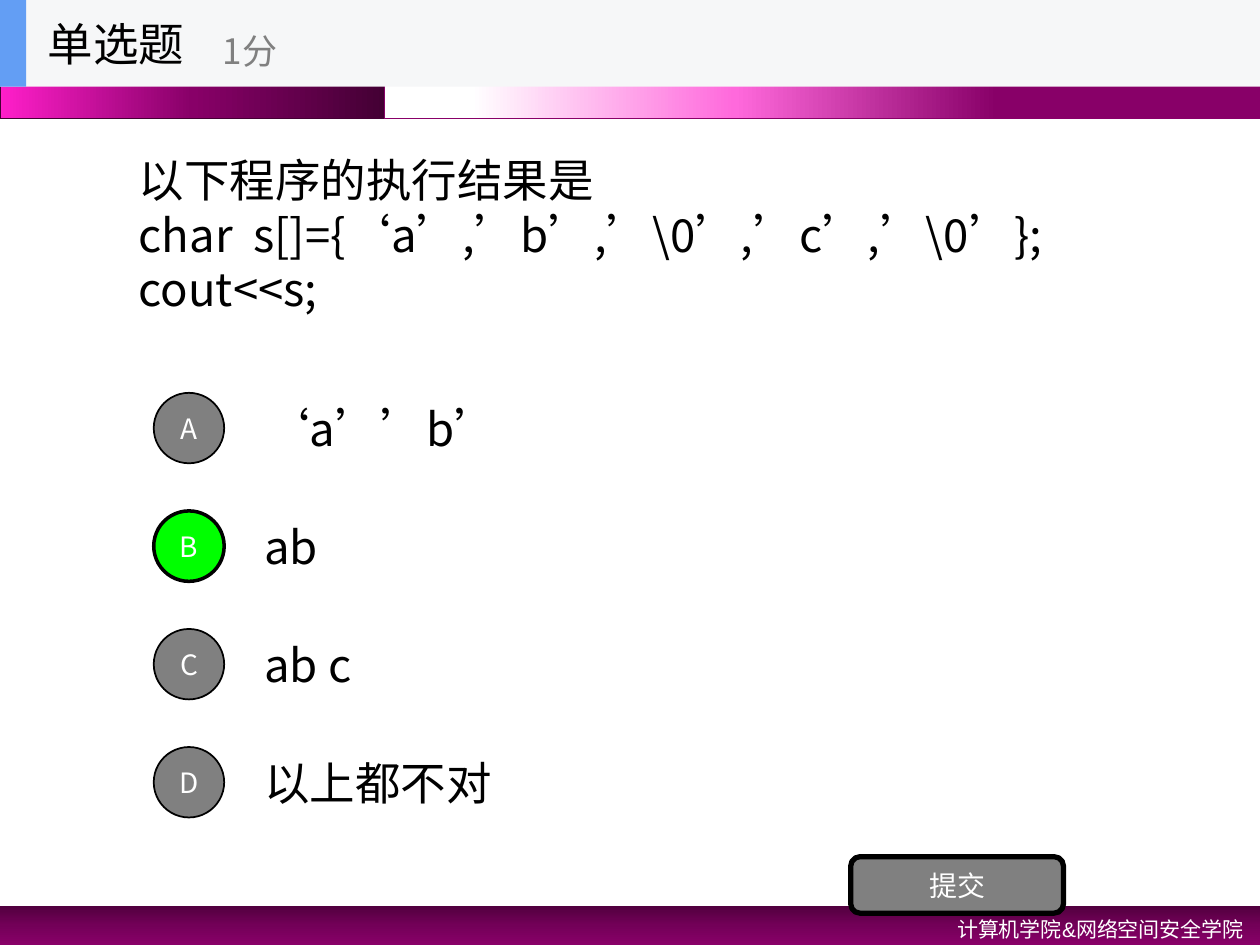
from lxml import etree
from pptx import Presentation
from pptx.dml.color import RGBColor
from pptx.enum.shapes import MSO_SHAPE
from pptx.enum.text import MSO_ANCHOR, MSO_AUTO_SIZE, PP_ALIGN
from pptx.oxml.ns import qn
from pptx.util import Cm, Pt

RECTANGLE, OVAL, ROUNDED = MSO_SHAPE.RECTANGLE, MSO_SHAPE.OVAL, MSO_SHAPE.ROUNDED_RECTANGLE
LEFT, CENTER, RIGHT = PP_ALIGN.LEFT, PP_ALIGN.CENTER, PP_ALIGN.RIGHT
MIDDLE, TOP = MSO_ANCHOR.MIDDLE, MSO_ANCHOR.TOP
NO_AUTOFIT = MSO_AUTO_SIZE.NONE
CJK_FONT = "Noto Sans CJK SC"
COLORS = {
    "black": "000000", "white": "FFFFFF", "gray": "808080", "correct": "00FF00",
    "header": "F6F7F8", "accent": "639EF4", "plum": "880068", "dark plum": "440034",
    "footer top": "51003E", "footer middle": "730058", "magenta": "FF1FCA", "pink": "FF69DC",
}


def write(box, lines, size, color, align=LEFT, anchor=MIDDLE, font=CJK_FONT, spacing=1.0):
    frame = box.text_frame
    frame.text = "\n".join(lines)
    frame.word_wrap = True
    frame.auto_size = NO_AUTOFIT
    frame.vertical_anchor = anchor
    for para in frame.paragraphs:
        para.alignment = align
        para.line_spacing = spacing
        para.space_before = Pt(0)
        para.font.size = Pt(size)
        para.font.name = font
        para.font.color.rgb = RGBColor.from_string(COLORS[color])
        properties = para._p.get_or_add_pPr()
        defaults = properties.find(qn("a:defRPr"))
        etree.SubElement(defaults, qn("a:ea")).set("typeface", CJK_FONT)


def draw(kind, left, top, width, height, fill=None, line=None, weight=1):
    shape = page.shapes.add_shape(kind, Cm(left), Cm(top), Cm(width), Cm(height))
    shape.shadow.inherit = False
    if fill:
        shape.fill.solid()
        shape.fill.fore_color.rgb = RGBColor.from_string(COLORS[fill])
    if line:
        shape.line.color.rgb = RGBColor.from_string(COLORS[line])
        shape.line.width = Pt(weight)
    else:
        shape.line.fill.background()
    return shape


deck = Presentation()
deck.slide_width, deck.slide_height = Cm(25.4), Cm(19.05)
page = deck.slides.add_slide(deck.slide_layouts[1])

bands = [
    (0, 18.26, 25.4, 0.79, None, 90, [(0, "footer top"), (50, "footer middle"), (100, "plum")]),
    (0, 0, 7.75, 2.39, "dark plum", 180, [(0, "dark plum"), (50, "plum"), (100, "magenta")]),
    (7.75, 0, 17.65, 2.39, "plum", 180, [(30, "plum"), (60, "pink"), (90, "white")]),
]
for left, top, width, height, line, angle, stops in bands:
    band = draw(RECTANGLE, left, top, width, height, line=line)
    band.fill.gradient()
    band.fill.gradient_angle = 360 - angle
    stop_list = band.element.spPr.find(qn("a:gradFill")).find(qn("a:gsLst"))
    for stop in list(stop_list):
        stop_list.remove(stop)
    for position, color in stops:
        stop = etree.SubElement(stop_list, qn("a:gs"), pos=str(position * 1000))
        etree.SubElement(stop, qn("a:srgbClr"), val=COLORS[color])

footer = page.shapes.add_textbox(Cm(16.31), Cm(18.26), Cm(9.02), Cm(0.81))
write(footer, ["计算机学院&网络空间安全学院"], 12, "white", RIGHT, TOP, "Arial", 1.2)

question = page.placeholders[1]
question.left, question.top, question.width, question.height = Cm(2.54), Cm(1.75), Cm(20.32), Cm(5.94)
write(question, ["以下程序的执行结果是", "char  s[]={‘a’,’b’,’\\0’,’c’,’\\0’};", "cout<<s;"], 26, "black")
for para in question.text_frame.paragraphs:
    properties = para._p.get_or_add_pPr()
    properties.set("marL", "0")
    properties.set("indent", "0")
    properties.find(qn("a:defRPr")).addprevious(etree.Element(qn("a:buNone")))

options = [("A", "‘a’’b’"), ("B", "ab"), ("C", "ab c"), ("D", "以上都不对")]
for index, (letter, answer) in enumerate(options):
    top = 7.75 + 2.38 * index
    fill, weight = ("correct", 2) if letter == "B" else ("gray", 1)
    label = page.shapes.add_textbox(Cm(5.08), Cm(top), Cm(17.78), Cm(1.78))
    write(label, [answer], 26, "black")
    badge = draw(OVAL, 3.1, top + 0.17, 1.42, 1.42, fill, "black", weight)
    write(badge, [letter], 16, "white", CENTER)

submit = draw(ROUNDED, 17.15, 17.27, 4.29, 1.14, "gray", "black", 3)
write(submit, ["提交"], 16, "white", CENTER)

draw(RECTANGLE, 0, 0, 25.4, 1.75, "header")
draw(RECTANGLE, 0, 0, 0.53, 1.75, "accent")
title = page.shapes.title
title.left, title.top, title.width, title.height = Cm(0.71), Cm(0), Cm(5.28), Cm(1.75)
write(title, ["单选题"], 26, "black")
title.element.getparent().append(title.element)
points = page.shapes.add_textbox(Cm(4.24), Cm(0.3), Cm(6.35), Cm(1.42))
write(points, ["1分"], 20, "gray")

deck.save("out.pptx")
